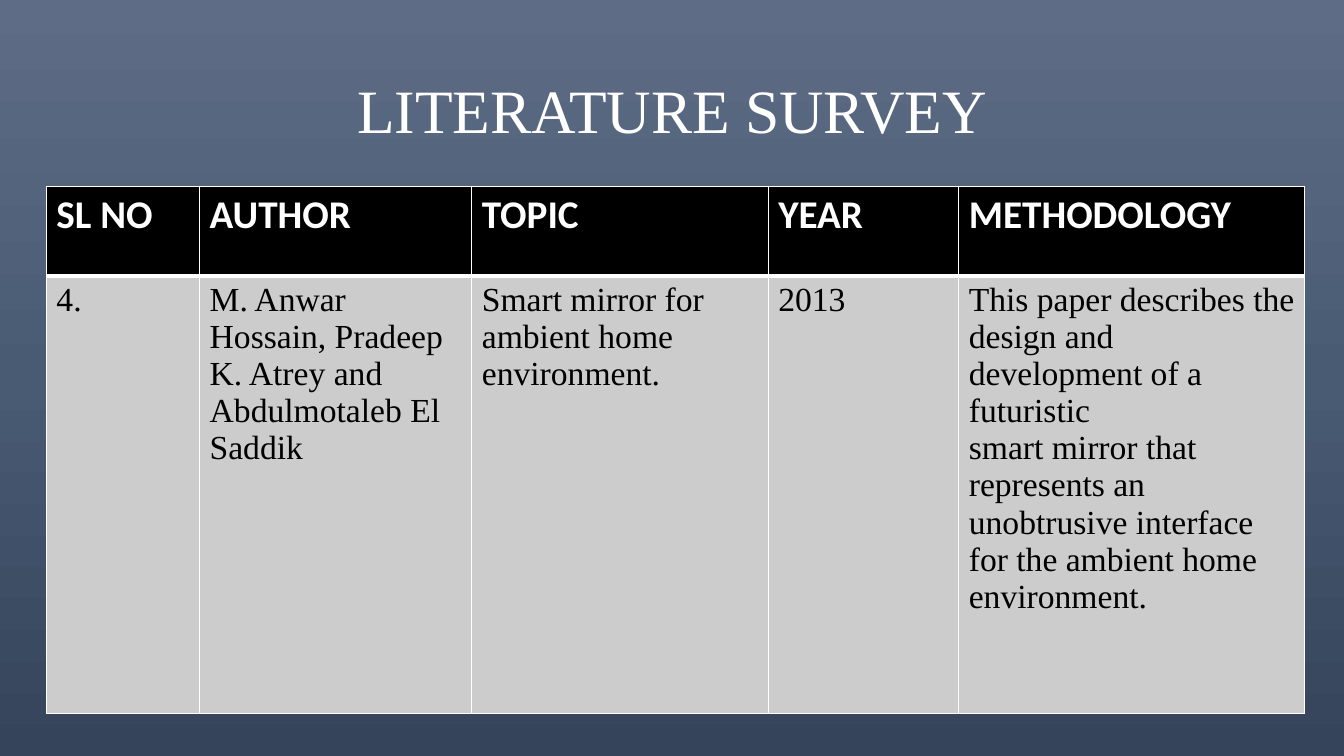
from lxml import etree
from pptx import Presentation
from pptx.dml.color import RGBColor
from pptx.enum.text import MSO_ANCHOR, PP_ALIGN
from pptx.oxml.ns import qn
from pptx.util import Inches, Pt

MIDDLE = MSO_ANCHOR.MIDDLE
CENTER = PP_ALIGN.CENTER

BACKGROUND_STOPS = [(0, "5E6D85"), (50, "495A73"), (100, "35445A")]
COLUMN_WIDTHS = [1.52, 2.7, 2.94, 1.89, 3.43]
ROW_HEIGHTS = [0.89, 4.34]
TABLE_TEXT = [
    ["SL NO", "AUTHOR", "TOPIC", "YEAR", "METHODOLOGY"],
    [
        "4.",
        "M. Anwar Hossain, Pradeep K. Atrey and Abdulmotaleb El Saddik",
        "Smart mirror for ambient home environment.",
        "2013",
        "This paper describes the design and development of a futuristic\n"
        "smart mirror that represents an unobtrusive interface\n"
        "for the ambient home environment.",
    ],
]
# fill, font, size, bold, text colour, top border, bottom border
ROW_STYLES = [
    ("000000", "Calibri", 28, True, "FFFFFF", 1, 3),
    ("CCCCCC", "Times New Roman", 24, False, "000000", 3, 1),
]


def format_text(frame, font_name, size, bold, color):
    for para in frame.paragraphs:
        for span in para.runs:
            span.font.name = font_name
            span.font.size = Pt(size)
            span.font.bold = bold
            span.font.color.rgb = RGBColor.from_string(color)


def add_border(cell, side, points, color):
    """Draw one cell edge; side is L, R, T or B. Call before filling the cell."""
    properties = cell._tc.get_or_add_tcPr()
    line = etree.SubElement(properties, qn(f"a:ln{side}"), w=str(Pt(points)))
    fill = etree.SubElement(line, qn("a:solidFill"))
    etree.SubElement(fill, qn("a:srgbClr"), val=color)


deck = Presentation()
deck.slide_width = Inches(13.33)
deck.slide_height = Inches(7.5)
slide = deck.slides.add_slide(deck.slide_layouts[6])

# Background gradient, top to bottom
background = slide.background.fill
background.gradient()
background.gradient_angle = 270
stop_list = slide.element.find(".//" + qn("a:gsLst"))
for stop in list(stop_list):
    stop_list.remove(stop)
for percent, color in BACKGROUND_STOPS:
    stop = etree.SubElement(stop_list, qn("a:gs"), pos=str(percent * 1000))
    etree.SubElement(stop, qn("a:srgbClr"), val=color)

# Title
title = slide.shapes.add_textbox(Inches(0.92), Inches(0.4), Inches(11.5), Inches(1.45))
title_frame = title.text_frame
title_frame.word_wrap = True
title_frame.vertical_anchor = MIDDLE
title_frame.text = "LITERATURE SURVEY"
title_frame.paragraphs[0].alignment = CENTER
title_frame.paragraphs[0].line_spacing = 0.9
format_text(title_frame, "Times New Roman", 44, False, "FFFFFF")

# Survey table
table = slide.shapes.add_table(
    len(ROW_HEIGHTS), len(COLUMN_WIDTHS),
    Inches(0.46), Inches(1.85),
    Inches(sum(COLUMN_WIDTHS)), Inches(sum(ROW_HEIGHTS)),
).table
for column, width in zip(table.columns, COLUMN_WIDTHS):
    column.width = Inches(width)

for row, height, texts, style in zip(table.rows, ROW_HEIGHTS, TABLE_TEXT, ROW_STYLES):
    row.height = Inches(height)
    fill_color, font_name, size, bold, text_color, top, bottom = style
    for cell, text in zip(row.cells, texts):
        cell.text_frame.text = text
        format_text(cell.text_frame, font_name, size, bold, text_color)
        for side, points in (("L", 1), ("R", 1), ("T", top), ("B", bottom)):
            add_border(cell, side, points, "FFFFFF")
        cell.fill.solid()
        cell.fill.fore_color.rgb = RGBColor.from_string(fill_color)

deck.save("out.pptx")
